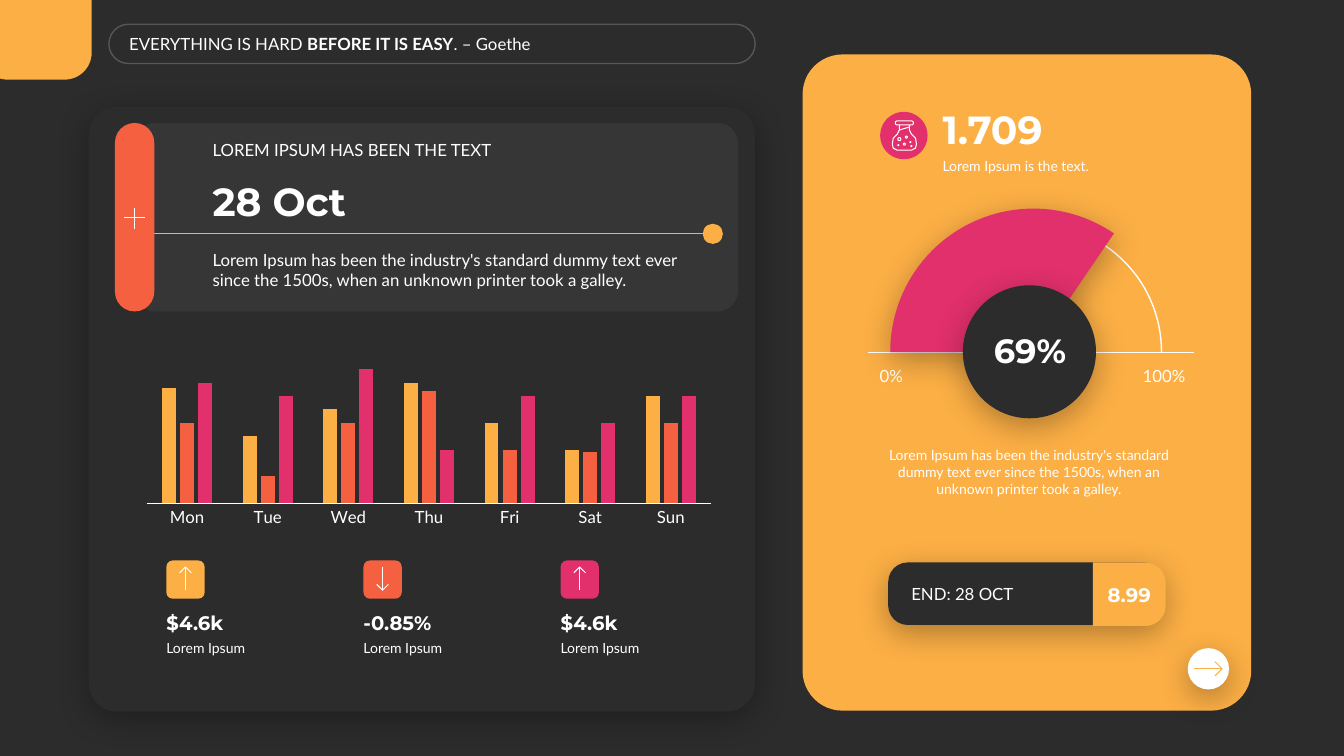
from dataclasses import dataclass
from math import cos, radians, sin

from lxml.etree import SubElement
from pptx import Presentation
from pptx.chart.data import CategoryChartData
from pptx.dml.color import RGBColor
from pptx.enum.chart import XL_CHART_TYPE, XL_TICK_MARK
from pptx.enum.shapes import MSO_CONNECTOR, MSO_SHAPE
from pptx.enum.text import MSO_ANCHOR, PP_ALIGN
from pptx.oxml.ns import qn
from pptx.util import Inches, Pt


@dataclass(frozen=True)
class Theme:
    dark: RGBColor = RGBColor(0x2C, 0x2C, 0x2C)
    white: RGBColor = RGBColor(0xFF, 0xFF, 0xFF)
    yellow: RGBColor = RGBColor(0xFC, 0xAF, 0x45)
    orange: RGBColor = RGBColor(0xF5, 0x60, 0x40)
    pink: RGBColor = RGBColor(0xE1, 0x30, 0x6C)
    body_font: str = "Lato"
    title_font: str = "Montserrat"
    small: int = 10
    body: int = 12
    figure: int = 14
    gauge: int = 24
    title: int = 28


def arc_points(x, y, radius, start, end, steps=16):
    """Points on an arc, angles clockwise from the right."""
    angles = [radians(start + (end - start) * i / steps) for i in range(steps + 1)]
    return [(x + radius * cos(a), y + radius * sin(a)) for a in angles]


class SlideBuilder:
    def __init__(self, slide, theme):
        self.slide, self.theme = slide, theme
        slide.background.fill.solid()
        slide.background.fill.fore_color.rgb = theme.dark

    def paint(self, shape, fill=None, line=None, width=1, alpha=None, shadow=False):
        shape.shadow.inherit = False
        if fill is None:
            shape.fill.background()
        else:
            shape.fill.solid()
            shape.fill.fore_color.rgb = fill
        if line is None:
            shape.line.fill.background()
        else:
            shape.line.color.rgb = line
            shape.line.width = Pt(width)
        properties = shape._element.spPr
        if alpha is not None:
            for color in properties.iter(qn("a:srgbClr")):
                SubElement(color, qn("a:alpha"), val=str(alpha * 1000))
        if shadow:
            outer = SubElement(properties.find(qn("a:effectLst")), qn("a:outerShdw"),
                               blurRad=str(Pt(23)), dist=str(Pt(6)), dir="5400000",
                               algn="t", rotWithShape="0")
            color = SubElement(outer, qn("a:srgbClr"), val="000000")
            SubElement(color, qn("a:alpha"), val="30000")
        return shape

    def preset(self, kind, box, adjust=(), **style):
        shape = self.slide.shapes.add_shape(kind, *map(Inches, box))
        for index, value in enumerate(adjust):
            shape.adjustments[index] = value
        return self.paint(shape, **style)

    def rounded(self, box, radius, **style):
        return self.preset(MSO_SHAPE.ROUNDED_RECTANGLE, box, (radius,), **style)

    def circle(self, box, **style):
        return self.preset(MSO_SHAPE.OVAL, box, **style)

    def outline(self, contours, close=False, **style):
        contours = [[(Inches(x), Inches(y)) for x, y in points] for points in contours]
        builder = self.slide.shapes.build_freeform(*contours[0][0])
        for index, points in enumerate(contours):
            if index:
                builder.move_to(*points[0])
            builder.add_line_segments(points[1:], close=close)
        return self.paint(builder.convert_to_shape(), **style)

    def arrow_icon(self, x, y, length, direction, color):
        dx, dy = direction
        half, head = length / 2, length / 4
        tip = (x + dx * half, y + dy * half)
        back = (tip[0] - dx * head, tip[1] - dy * head)
        barbs = [(back[0] - s * dy * head, back[1] + s * dx * head) for s in (1, -1)]
        self.outline([[(x - dx * half, y - dy * half), tip], [barbs[0], tip, barbs[1]]],
                     line=color, width=0.75)

    def line(self, start, end, color, width):
        connector = self.slide.shapes.add_connector(
            MSO_CONNECTOR.STRAIGHT, *map(Inches, start + end))
        connector.line.color.rgb = color
        connector.line.width = Pt(width)
        SubElement(connector._element.spPr, qn("a:effectLst"))

    def style_run(self, run, size, bold=False, font=None):
        run.font.size, run.font.bold = Pt(size), bold
        run.font.name = font or self.theme.body_font
        run.font.color.rgb = self.theme.white

    def text(self, box, words, size, heading=False, align=PP_ALIGN.LEFT,
             anchor=MSO_ANCHOR.TOP, insets=(0.1, 0.05), wrap=True):
        frame = self.slide.shapes.add_textbox(*map(Inches, box)).text_frame
        frame.word_wrap, frame.vertical_anchor = wrap, anchor
        frame.margin_left = frame.margin_right = Inches(insets[0])
        frame.margin_top = frame.margin_bottom = Inches(insets[1])
        frame.text = words
        paragraph = frame.paragraphs[0]
        paragraph.alignment = align
        font = self.theme.title_font if heading else None
        self.style_run(paragraph.runs[0], size, heading, font)
        return paragraph

    def column_chart(self, box, categories, series):
        data = CategoryChartData()
        data.categories = categories
        for index, (_, values) in enumerate(series, 1):
            data.add_series(f"Series {index}", values)
        chart = self.slide.shapes.add_chart(
            XL_CHART_TYPE.COLUMN_CLUSTERED, *map(Inches, box), data).chart
        chart.has_legend = chart.has_title = False
        chart.font.name, chart.font.size = self.theme.body_font, Pt(self.theme.body)
        chart.font.color.rgb = self.theme.white
        plot = chart.plots[0]
        plot.gap_width, plot.overlap, plot.vary_by_categories = 220, -30, False
        for item, (color, _) in zip(plot.series, series):
            item.format.fill.solid()
            item.format.fill.fore_color.rgb = color
        value_axis, category_axis = chart.value_axis, chart.category_axis
        value_axis.minimum_scale, value_axis.maximum_scale = 0, 120
        value_axis.has_major_gridlines = value_axis.visible = False
        category_axis.major_tick_mark = XL_TICK_MARK.NONE
        category_axis.format.line.color.rgb = self.theme.white
        category_axis.format.line.width = Pt(0.75)
        # Fixed inner plot area
        area = chart._chartSpace.chart.plotArea
        for old in area.findall(qn("c:layout")):
            area.remove(old)
        layout = SubElement(area, qn("c:layout"))
        area.insert(0, layout)
        manual = SubElement(layout, qn("c:manualLayout"))
        for tag, value in (("layoutTarget", "inner"), ("xMode", "edge"), ("yMode", "edge"),
                           ("x", "0.02"), ("y", "0.02"), ("w", "0.96"), ("h", "0.83")):
            SubElement(manual, qn(f"c:{tag}"), val=value)


def main():
    presentation = Presentation()
    presentation.slide_width, presentation.slide_height = Inches(13.33), Inches(7.5)
    theme = Theme()
    page = SlideBuilder(presentation.slides.add_slide(presentation.slide_layouts[6]), theme)
    middle, bottom, center = MSO_ANCHOR.MIDDLE, MSO_ANCHOR.BOTTOM, PP_ALIGN.CENTER
    filler = ("Lorem Ipsum has been the industry's standard dummy text ever since "
              "the 1500s, when an unknown printer took a galley.")

    # Left panel, quote and corner tab
    page.rounded((0.88, 1.06, 6.61, 6), 0.047, fill=theme.dark, shadow=True)
    page.rounded((1.08, 0.24, 6.41, 0.39), 0.5, line=theme.white, alpha=20)
    quote = page.text((1.24, 0.28, 6.08, 0.3), "EVERYTHING IS HARD ", theme.body,
                      anchor=middle, insets=(0.04, 0.05))
    for words, bold in (("BEFORE IT IS EASY", True), (". – Goethe", False)):
        run = quote.add_run()
        run.text = words
        page.style_run(run, theme.body, bold)
    page.outline([[(0, 0), (0.91, 0), *arc_points(0.64, 0.52, 0.27, 0, 90),
                   (0.06, 0.79), (0, 0.78)]], close=True, fill=theme.yellow)

    # Date card
    page.rounded((1.34, 1.22, 5.98, 1.87), 0.109, fill=theme.white, alpha=5)
    page.text((2.01, 2.43, 5.1, 0.5), filler, theme.body)
    page.text((2.01, 1.71, 5.1, 0.57), "28 Oct", theme.title, True, anchor=bottom)
    page.text((2.01, 1.34, 5.1, 0.3), "LOREM IPSUM HAS BEEN THE TEXT", theme.body, anchor=bottom)
    page.line((1.44, 2.32), (6.97, 2.32), theme.yellow, 0.5)
    page.circle((6.97, 2.22, 0.2, 0.2), fill=theme.yellow)
    page.rounded((1.14, 1.22, 0.39, 1.87), 0.5, fill=theme.orange)
    page.outline([[(1.23, 2.16), (1.44, 2.16)], [(1.33, 2.06), (1.33, 2.27)]],
                 line=theme.white, width=0.75)

    # Weekly chart
    page.column_chart((1.34, 3.36, 5.83, 1.92),
                      ("Mon", "Tue", "Wed", "Thu", "Fri", "Sat", "Sun"),
                      ((theme.yellow, (86, 50, 70, 90, 60, 40, 80)),
                       (theme.orange, (60, 20, 60, 84, 40, 38, 60)),
                       (theme.pink, (90, 80, 100, 40, 80, 60, 80))))

    # Metrics
    metrics = ((theme.yellow, -1, "$4.6k"), (theme.orange, 1, "-0.85%"), (theme.pink, -1, "$4.6k"))
    for index, (color, direction, amount) in enumerate(metrics):
        left = 1.65 + 1.955 * index
        page.rounded((left, 5.56, 0.38, 0.38), 0.167, fill=color)
        page.arrow_icon(left + 0.19, 5.74, 0.23, (0, direction), theme.white)
        page.text((left, 6.3, 1.41, 0.27), "Lorem Ipsum", theme.small, insets=(0, 0.05))
        page.text((left, 6, 1.41, 0.34), amount, theme.figure, True, anchor=bottom,
                  insets=(0, 0.05))

    # Right panel heading with flask icon
    page.rounded((7.96, 0.54, 4.45, 6.51), 0.089, fill=theme.yellow)
    page.text((9.25, 1.51, 2.73, 0.27), "Lorem Ipsum is the text.", theme.small)
    page.text((9.25, 0.99, 2.73, 0.57), "1.709", theme.title, True, anchor=bottom)
    page.circle((8.73, 1.11, 0.47, 0.47), fill=theme.pink)
    side = [(0.05, 1.24), (0.05, 1.29), (0.07, 1.33), (0.11, 1.37), (0.12, 1.43),
            (0.11, 1.47), (0.07, 1.49)]
    flask = [(8.97 - x, y) for x, y in side] + [(8.97 + x, y) for x, y in reversed(side)]
    rim = arc_points(8.9, 1.22, 0.02, 90, 270) + arc_points(9.04, 1.22, 0.02, -90, 90)
    bubbles = [arc_points(*bubble, 0, 360) for bubble in (
        (8.92, 1.38, 0.015), (8.99, 1.36, 0.01), (8.97, 1.43, 0.01),
        (8.91, 1.44, 0.005), (9.04, 1.45, 0.005), (9.03, 1.41, 0.005))]
    page.outline([flask, rim + rim[:1], [(8.92, 1.29), (9.02, 1.26)], *bubbles],
                 line=theme.white, width=0.75)

    # Gauge
    page.preset(MSO_SHAPE.ARC, (8.98, 2.22, 2.54, 2.54), (107.89, 0), line=theme.white)
    page.line((8.61, 3.5), (11.84, 3.5), theme.white, 1)
    for left, width, label in ((8.68, 0.32, "0%"), (11.25, 0.59, "100%")):
        page.text((left, 3.59, width, 0.28), label, theme.body, align=center,
                  anchor=middle, insets=(0, 0), wrap=False)
    page.preset(MSO_SHAPE.ARC, (8.83, 2.07, 2.84, 2.84), (107.89, 182.54),
                fill=theme.pink, shadow=True)
    page.text((8.54, 4.38, 3.33, 0.61), filler, theme.small, align=center)
    page.circle((9.55, 2.83, 1.32, 1.32), fill=theme.dark, shadow=True)
    page.text((9.47, 3.22, 1.49, 0.5), "69%", theme.gauge, True, center, middle)

    # Next button and price tag
    page.circle((11.78, 6.43, 0.41, 0.41), fill=theme.white, shadow=True)
    page.arrow_icon(11.98, 6.635, 0.28, (1, 0), theme.yellow)
    page.rounded((8.81, 5.58, 2.74, 0.62), 0.311, fill=theme.dark, shadow=True)
    page.text((8.94, 5.74, 1.96, 0.3), "END: 28 OCT", theme.body, anchor=middle)
    page.outline([[(10.84, 5.58), *arc_points(11.36, 5.78, 0.2, -90, 0),
                   *arc_points(11.36, 6.01, 0.2, 0, 90), (10.84, 6.21)]],
                 close=True, fill=theme.yellow)
    page.text((10.84, 5.73, 0.72, 0.34), "8.99", theme.figure, True, center, middle, (0.04, 0.05))

    presentation.save("out.pptx")


if __name__ == "__main__":
    main()
